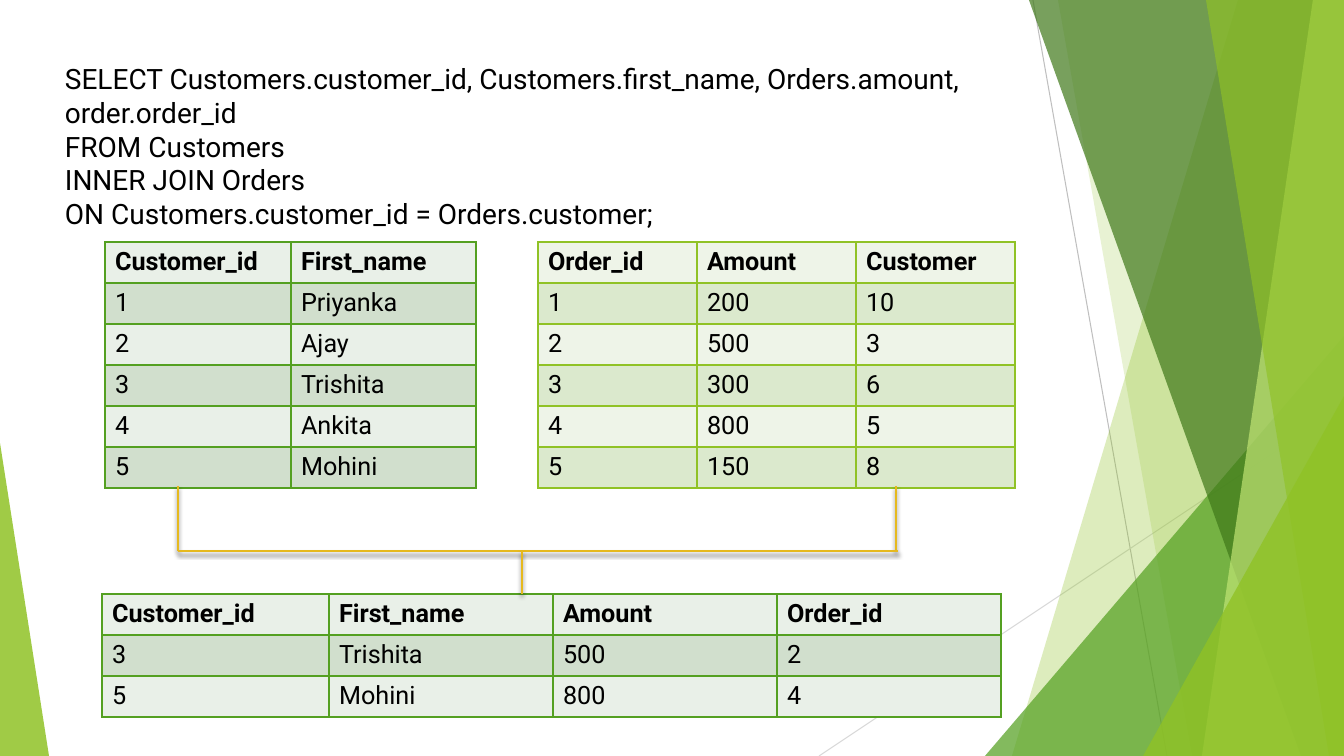
from typing import NamedTuple

from lxml.etree import SubElement
from pptx import Presentation
from pptx.dml.color import RGBColor
from pptx.enum.shapes import MSO_CONNECTOR, MSO_SHAPE
from pptx.enum.text import MSO_AUTO_SIZE
from pptx.oxml.ns import qn
from pptx.util import Emu, Pt

SCALE = 914400 / 100.8
FONT = "Roboto"
BLACK = RGBColor(0x00, 0x00, 0x00)
LIME = RGBColor(0x90, 0xC2, 0x26)
PALE_LIME = RGBColor(0xC0, 0xE4, 0x74)
GREEN = RGBColor(0x54, 0xA0, 0x21)
DARK_GREEN = RGBColor(0x3F, 0x78, 0x19)
GOLD = RGBColor(0xE6, 0xB9, 0x1E)
GRAY = RGBColor(0xBF, 0xBF, 0xBF)
LIGHT_GRAY = RGBColor(0xD9, 0xD9, 0xD9)
GREEN_BANDS = (RGBColor(0xE9, 0xF0, 0xE8), RGBColor(0xD1, 0xDF, 0xCD))
LIME_BANDS = (RGBColor(0xEE, 0xF4, 0xE8), RGBColor(0xDB, 0xE9, 0xCD))

QUERY = (
    "SELECT Customers.customer_id, Customers.first_name, Orders.amount, order.order_id",
    "FROM Customers",
    "INNER JOIN Orders",
    "ON Customers.customer_id = Orders.customer;",
)
CUSTOMERS = (
    ("Customer_id", "First_name"),
    ("1", "Priyanka"),
    ("2", "Ajay"),
    ("3", "Trishita"),
    ("4", "Ankita"),
    ("5", "Mohini"),
)
ORDERS = (
    ("Order_id", "Amount", "Customer"),
    ("1", "200", "10"),
    ("2", "500", "3"),
    ("3", "300", "6"),
    ("4", "800", "5"),
    ("5", "150", "8"),
)
JOINED = (
    ("Customer_id", "First_name", "Amount", "Order_id"),
    ("3", "Trishita", "500", "2"),
    ("5", "Mohini", "800", "4"),
)


class Box(NamedTuple):
    """A region of the slide in pixels."""

    left: int
    top: int
    width: int
    height: int


def px(length):
    """Turn pixels into EMU."""
    return Emu(round(length * SCALE))


def add_run(para, text, size, bold=False):
    """Add one black run to a paragraph."""
    span = para.add_run()
    span.text = text
    span.font.name = FONT
    span.font.size = Pt(size)
    span.font.bold = bold
    span.font.color.rgb = BLACK


def paint(shape, color, opacity):
    """Give a shape a translucent fill without line or shadow."""
    shape.shadow.inherit = False
    shape.line.fill.background()
    shape.fill.solid()
    shape.fill.fore_color.rgb = color
    tint = shape.fill._xPr.find(qn("a:solidFill"))[0]
    SubElement(tint, qn("a:alpha"), val=str(opacity * 1000))


def add_line(page, start, end, color, width):
    """Draw a straight line and return its empty effect list."""
    line = page.shapes.add_connector(MSO_CONNECTOR.STRAIGHT, *map(px, start + end))
    line.line.color.rgb = color
    line.line.width = Pt(width)
    return SubElement(line._element.spPr, qn("a:effectLst"))


def add_triangle(page, box, apex, color, opacity):
    """Draw a triangle whose apex sits at a share of its width."""
    shape = page.shapes.add_shape(MSO_SHAPE.ISOSCELES_TRIANGLE, *map(px, box))
    shape.adjustments[0] = apex
    paint(shape, color, opacity)


def add_band(page, box, top_x, bottom_x, color, opacity):
    """Draw a band from a slanted left edge to the right side of the box."""
    right, bottom = box.left + box.width, box.top + box.height
    outline = page.shapes.build_freeform(box.left + top_x, box.top, scale=SCALE)
    outline.add_line_segments(
        [(right, box.top), (right, bottom), (box.left + bottom_x, bottom)]
    )
    paint(outline.convert_to_shape(), color, opacity)


def add_corner(page, box, width, height, color, opacity):
    """Draw a triangle in the lower right corner of the box."""
    left, top = box.left + box.width - width, box.top + box.height - height
    add_triangle(page, Box(left, top, width, height), 1, color, opacity)


def add_facets(page, box):
    """Draw the overlapping facets and thin lines on the right side."""
    left, top, width, height = box
    bottom = top + height
    add_line(page, (left + 214, top), (left + 348, bottom), GRAY, 0.75)
    add_line(page, (left + width, top + 406), (left, bottom), LIGHT_GRAY, 0.75)
    add_band(page, box, 419, 193, LIME, 30)
    add_band(page, box, 239, 373, LIME, 20)
    add_corner(page, box, 359, 420, GREEN, 72)
    add_band(page, box, 210, 482, DARK_GREEN, 70)
    add_band(page, box, 494, 383, PALE_LIME, 70)
    add_band(page, box, 387, 510, LIME, 65)
    add_corner(page, box, 201, 360, LIME, 80)


def add_query(page, box):
    """Write the query, one clause per paragraph."""
    frame = page.shapes.add_textbox(*map(px, box)).text_frame
    frame.word_wrap = True
    frame.auto_size = MSO_AUTO_SIZE.SHAPE_TO_FIT_TEXT
    for index, clause in enumerate(QUERY):
        para = frame.add_paragraph() if index else frame.paragraphs[0]
        add_run(para, clause, 20)


def add_borders(cell, color):
    """Draw a thin line on all four sides of a cell."""
    properties = cell._tc.get_or_add_tcPr()
    for side in ("lnL", "lnR", "lnT", "lnB"):
        edge = SubElement(properties, qn(f"a:{side}"), w=str(Pt(1)))
        fill = SubElement(edge, qn("a:solidFill"))
        SubElement(fill, qn("a:srgbClr"), val=str(color))


def add_records(page, box, records, border, bands):
    """Draw a banded table with a bold header; the first column takes the remainder."""
    count = len(records[0])
    table = page.shapes.add_table(len(records), count, *map(px, box)).table
    table.horz_banding = False
    share = box.width // count
    for index, column in enumerate(table.columns):
        column.width = px(share if index else box.width - share * (count - 1))
    for row_index, record in enumerate(records):
        table.rows[row_index].height = px(box.height / len(records))
        for column_index, text in enumerate(record):
            cell = table.cell(row_index, column_index)
            add_borders(cell, border)
            cell.fill.solid()
            cell.fill.fore_color.rgb = bands[row_index % 2]
            add_run(cell.text_frame.paragraphs[0], text, 18, row_index == 0)


def add_bracket(page, box):
    """Link both key columns to the joined table with shadowed lines."""
    left, top, width, height = box
    right, bar, stem = left + width, top + 65, left + 344
    segments = (
        ((left, top), (left, bar)),
        ((right - 2, top), (right - 2, bar)),
        ((left, bar), (right, bar)),
        ((stem, bar), (stem, top + height)),
    )
    for start, end in segments:
        effects = add_line(page, start, end, GOLD, 2)
        shadow = SubElement(
            effects, qn("a:outerShdw"), blurRad=str(Pt(3)), dist=str(Pt(2)),
            dir="5400000", rotWithShape="0",
        )
        tint = SubElement(shadow, qn("a:srgbClr"), val=str(BLACK))
        SubElement(tint, qn("a:alpha"), val="35000")


def build_join_slide(deck):
    """Compose the inner join slide."""
    page = deck.slides.add_slide(deck.slide_layouts[6])
    add_facets(page, Box(819, 0, 525, 756))
    add_triangle(page, Box(0, 443, 49, 313), 0, LIME, 85)
    add_records(page, Box(105, 242, 371, 246), CUSTOMERS, GREEN, GREEN_BANDS)
    add_records(page, Box(538, 242, 477, 246), ORDERS, LIME, LIME_BANDS)
    add_query(page, Box(55, 57, 987, 179))
    add_records(page, Box(102, 594, 899, 123), JOINED, GREEN, GREEN_BANDS)
    add_bracket(page, Box(178, 486, 720, 108))


deck = Presentation()
deck.slide_width, deck.slide_height = px(1344), px(756)
build_join_slide(deck)
deck.save("out.pptx")
